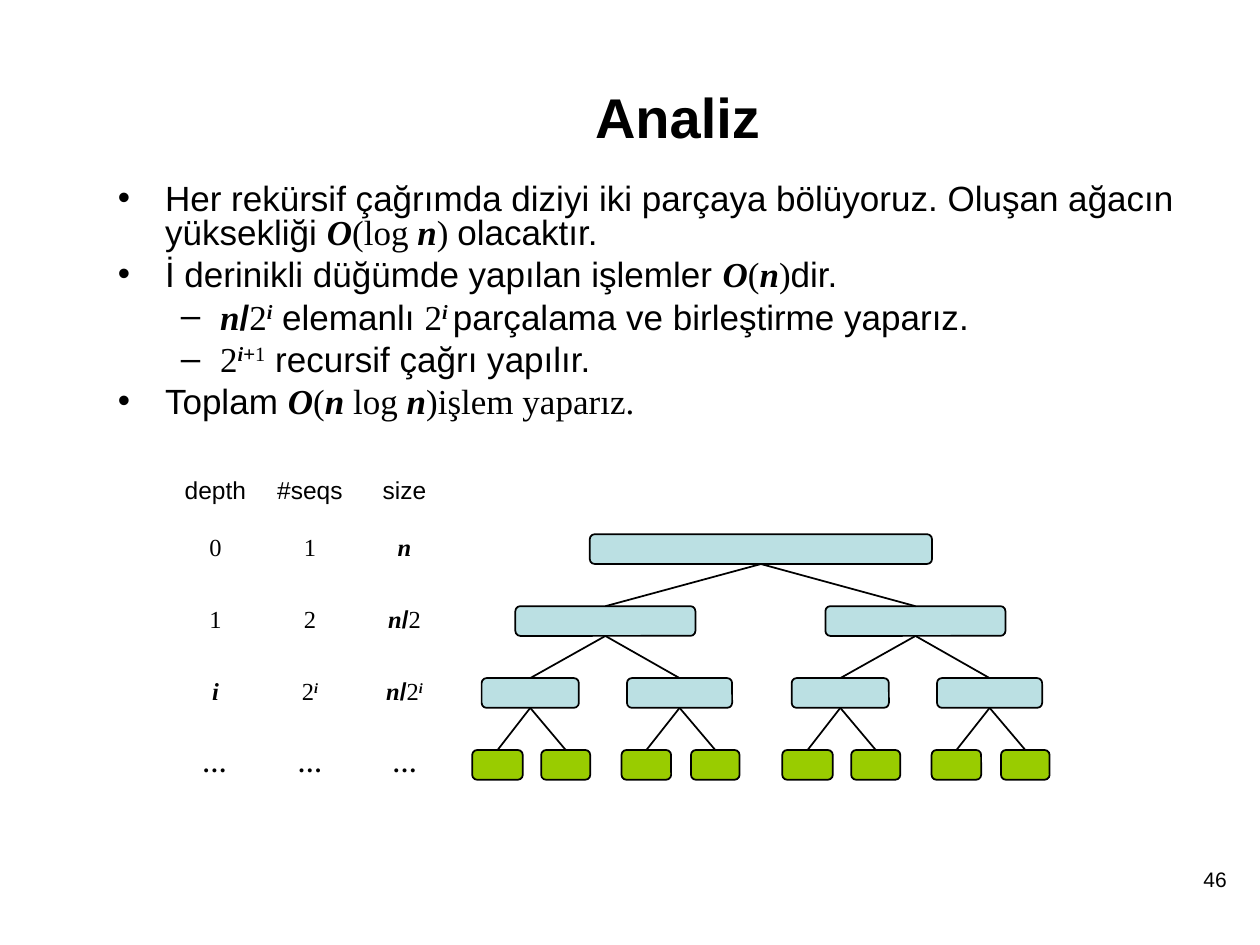
from pptx import Presentation
from pptx.dml.color import RGBColor
from pptx.enum.shapes import MSO_CONNECTOR, MSO_SHAPE
from pptx.enum.text import MSO_ANCHOR, MSO_AUTO_SIZE, PP_ALIGN
from pptx.oxml.ns import qn
from pptx.util import Cm, Pt
from lxml.etree import SubElement

COLORS = {"text": "000000", "line": "000000", "node": "BBE0E3", "leaf": "99CC00"}
SANS, SERIF = "Arial", "Times New Roman"

# Each style is font, bold, italic, raised.
STYLES = {
    "plain": (SANS, False, False, False),
    "strong": (SANS, True, False, False),
    "math": (SERIF, False, False, False),
    "dots": (SERIF, True, False, False),
    "variable": (SERIF, True, True, False),
    "power": (SERIF, True, True, True),
    "power_digit": (SERIF, False, False, True),
    "power_sign": (SANS, False, False, True),
}

BULLETS = [
    (0, [("Her rekürsif çağrımda diziyi iki parçaya bölüyoruz. Oluşan ağacın yüksekliği ", "plain"),
         ("O", "variable"), ("(log ", "math"), ("n", "variable"), (") ", "math"),
         ("olacaktır.", "plain")]),
    (0, [("İ derinikli düğümde yapılan işlemler ", "plain"), ("O", "variable"),
         ("(", "math"), ("n", "variable"), (")", "math"), ("dir.", "plain")]),
    (1, [("n", "variable"), ("/", "strong"), ("2", "math"), ("i", "power"),
         (" elemanlı ", "plain"), ("2", "math"), ("i ", "power"),
         ("parçalama ve birleştirme yaparız.", "plain")]),
    (1, [("2", "math"), ("i", "power"), ("+", "power_sign"), ("1", "power_digit"),
         (" recursif çağrı yapılır.", "plain")]),
    (0, [("Toplam ", "plain"), ("O", "variable"), ("(", "math"), ("n", "variable"),
         (" log ", "math"), ("n", "variable"), (")işlem yaparız.", "math")]),
]

TABLE_ROWS = [
    [[("depth", "plain")], [("#seqs", "plain")], [("size", "plain")]],
    [[("0", "math")], [("1", "math")], [("n", "variable")]],
    [[("1", "math")], [("2", "math")],
     [("n", "variable"), ("/", "strong"), ("2", "math")]],
    [[("i", "variable")], [("2", "math"), ("i", "power")],
     [("n", "variable"), ("/", "strong"), ("2", "math"), ("i", "power")]],
    [[("…", "variable")], [("…", "dots")], [("…", "dots")]],
]

HALF_LEVELS = [
    [(0.87, 3.63)],
    [(0.19, 1.96), (3.12, 2.12)],
    [(0, 1.02), (1.39, 0.99), (3.01, 1), (4.41, 0.98)],
]
HALF_OFFSET = 6.25
TREE_LEVELS = [[(2.37, 6.9)]] + [
    [(left + shift, width) for shift in (0, HALF_OFFSET) for left, width in level]
    for level in HALF_LEVELS
]


def rgb(name):
    """Return the named colour."""
    return RGBColor.from_string(COLORS[name])


def write_spans(para, spans, size):
    """Fill a paragraph with styled spans."""
    for text, style in spans:
        span = para.add_run()
        span.text = text
        font = span.font
        font.name, font.bold, font.italic, raised = STYLES[style]
        font.size = Pt(size)
        font.color.rgb = rgb("text")
        if raised:
            span._r.get_or_add_rPr().set("baseline", "30000")


def place(shape, box):
    """Move a shape to a box of left, top, width and height in centimetres."""
    shape.left, shape.top, shape.width, shape.height = map(Cm, box)


def fill_title(page, box):
    """Place the centred title."""
    title = page.shapes.title
    place(title, box)
    frame = title.text_frame
    frame.auto_size = MSO_AUTO_SIZE.NONE
    frame.vertical_anchor = MSO_ANCHOR.MIDDLE
    frame.paragraphs[0].alignment = PP_ALIGN.CENTER
    write_spans(frame.paragraphs[0], [("Analiz", "strong")], 32)


def fill_bullets(page, box):
    """Place the two-level bullet list."""
    body = page.placeholders[1]
    place(body, box)
    frame = body.text_frame
    frame.auto_size = MSO_AUTO_SIZE.NONE
    for index, (level, spans) in enumerate(BULLETS):
        para = frame.add_paragraph() if index else frame.paragraphs[0]
        para.level = level
        para.line_spacing = 0.8
        para.space_before = Pt(5)
        write_spans(para, spans, 20)


def add_page_number(page, box):
    """Place the page number at the right of its box."""
    frame = page.shapes.add_textbox(*map(Cm, box)).text_frame
    frame.word_wrap = True
    frame.paragraphs[0].alignment = PP_ALIGN.RIGHT
    write_spans(frame.paragraphs[0], [("46", "plain")], 12)


def add_depth_table(page, box):
    """Place the table of depth, sequence count and size."""
    left, top, width, height = box
    header_height = 0.79
    row_height = (height - header_height) / (len(TABLE_ROWS) - 1)
    columns = len(TABLE_ROWS[0])
    table = page.shapes.add_table(len(TABLE_ROWS), columns, *map(Cm, box)).table
    table.first_row = table.horz_banding = False
    for column in table.columns:
        column.width = Cm(width / columns)
    for index, cells in enumerate(TABLE_ROWS):
        table.rows[index].height = Cm(row_height if index else header_height)
        for column, spans in enumerate(cells):
            cell = table.cell(index, column)
            cell.fill.background()
            cell.margin_top = cell.margin_bottom = Cm(0.1)
            cell.vertical_anchor = MSO_ANCHOR.MIDDLE if index else MSO_ANCHOR.TOP
            para = cell.text_frame.paragraphs[0]
            para.alignment = PP_ALIGN.CENTER
            para.space_before = Pt(3.5)
            write_spans(para, spans, 14)


def add_node(group, box, color):
    """Add one rounded tree node."""
    node = group.shapes.add_shape(MSO_SHAPE.ROUNDED_RECTANGLE, *map(Cm, box))
    node.shadow.inherit = False
    node.fill.solid()
    node.fill.fore_color.rgb = rgb(color)
    node.line.color.rgb = rgb("line")
    node.line.width = Pt(1)
    return node


def add_branch(group, parent, child):
    """Join a parent's bottom to a child's top."""
    branch = group.shapes.add_connector(
        MSO_CONNECTOR.STRAIGHT,
        parent.left + parent.width // 2, parent.top + parent.height,
        child.left + child.width // 2, child.top)
    branch.begin_connect(parent, 2)
    branch.end_connect(child, 0)
    branch.line.color.rgb = rgb("line")
    branch.line.width = Pt(1)
    SubElement(branch._element.spPr, qn("a:effectLst"))


def add_recursion_tree(page, box):
    """Place the binary tree of recursive calls."""
    left, top, width, height = box
    node_height = 0.6
    step = (height - node_height) / (len(TREE_LEVELS) - 1)
    group = page.shapes.add_group_shape()
    parents = []
    for depth, level in enumerate(TREE_LEVELS):
        color = "leaf" if depth == len(TREE_LEVELS) - 1 else "node"
        nodes = [add_node(group, (left + offset, top + depth * step, node_width, node_height), color)
                 for offset, node_width in level]
        if parents:
            for index, node in enumerate(nodes):
                add_branch(group, parents[index // 2], node)
        parents = nodes


def main():
    """Build and save the deck."""
    deck = Presentation()
    deck.slide_width, deck.slide_height = Cm(25.4), Cm(19.05)
    page = deck.slides.add_slide(deck.slide_layouts[1])
    fill_title(page, (3.18, 0.76, 20.96, 3.18))
    fill_bullets(page, (2.12, 3.6, 22.01, 6.15))
    add_page_number(page, (21.8, 17.35, 3.18, 1.32))
    add_depth_table(page, (3.39, 9.53, 5.72, 6.6))
    add_recursion_tree(page, (9.52, 10.77, 11.64, 4.95))
    deck.save("out.pptx")


if __name__ == "__main__":
    main()
